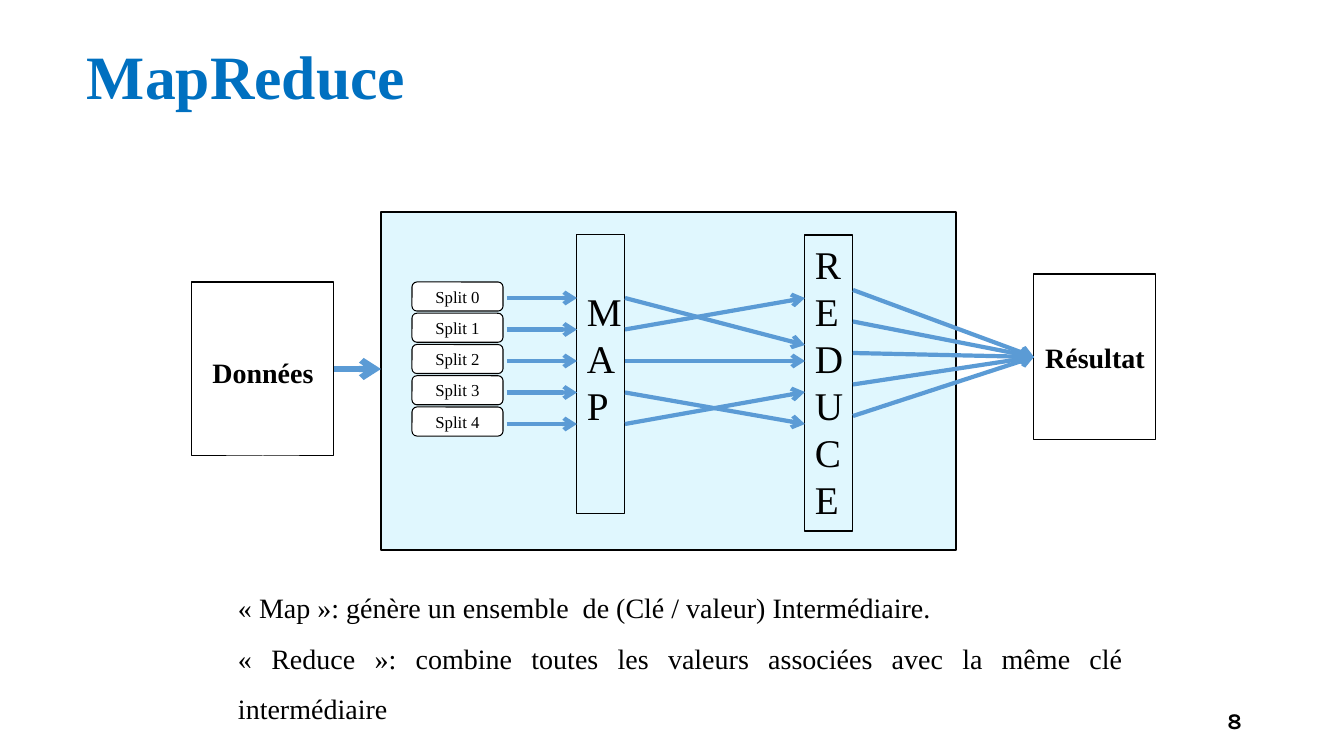
import pptx
import pptx.util
import pptx.dml.color
import pptx.enum.shapes
import pptx.enum.text
import pptx.oxml.ns
import lxml.etree

# Content; lengths in px
TITLE = "MapReduce"
NOTES = [
    "« Map »: génère un ensemble  de (Clé / valeur) Intermédiaire.",
    "« Reduce »: combine toutes les valeurs associées avec la même clé intermédiaire",
]
PAGE = "8"
SPLITS = [f"Split {i}" for i in range(5)]
# name: text, box, size, bold, align, anchor, top inset
BOXES = {
    "data": ("Données", (192, 282, 142, 174), 20, True, "CENTER", "MIDDLE", 12),
    "reduce": ("REDUCE", (805, 235, 48, 296), 28, False, "LEFT", "TOP", 5),
    "map": ("MAP", (577, 235, 48, 279), 28, False, "LEFT", "TOP", 52),
    "result": ("Résultat", (1034, 274, 122, 166), 20, True, "CENTER", "MIDDLE", 5),
}
PANEL = (381, 212, 575, 338)
CROSS = [345, 298, 361, 424, 392]  # height at which each map row meets reduce
SERIF = "Times New Roman"
BLACK, WHITE, BLUE = "000000", "FFFFFF", "5B9BD5"
SCALE = 914400 / 100.8

SHAPE = pptx.enum.shapes.MSO_SHAPE
ALIGN = pptx.enum.text.PP_ALIGN
ANCHOR = pptx.enum.text.MSO_ANCHOR
qn = pptx.oxml.ns.qn


def px(num):
    return pptx.util.Emu(round(num * SCALE))


def rgb(code):
    return pptx.dml.color.RGBColor.from_string(code)


def place(item, box):
    item.left, item.top, item.width, item.height = map(px, box)


def write(item, lines, size, color=BLACK, bold=False, face=SERIF,
          align="LEFT", anchor="MIDDLE", top=5, space=None):
    frame = item.text_frame
    frame.word_wrap = True
    frame.auto_size = pptx.enum.text.MSO_AUTO_SIZE.NONE
    frame.vertical_anchor = ANCHOR[anchor]
    frame.margin_left = frame.margin_right = px(10)
    frame.margin_top, frame.margin_bottom = px(top), px(5)
    for i, line in enumerate(lines):
        para = frame.add_paragraph() if i else frame.paragraphs[0]
        para.alignment = ALIGN[align]
        para.space_before = pptx.util.Pt(0)
        if space:
            para.line_spacing = space
        run = para.add_run()
        run.text = line
        font = run.font
        font.name, font.size, font.bold = face, pptx.util.Pt(size), bold
        font.color.rgb = rgb(color)


def draw(kind, box, fill=None, width=0.75):
    item = slide.shapes.add_shape(kind, *map(px, box))
    item.shadow.inherit = False
    if fill:
        item.fill.solid()
        item.fill.fore_color.rgb = rgb(fill)
    else:
        item.fill.background()
    item.line.color.rgb = rgb(BLACK)
    item.line.width = pptx.util.Pt(width)
    return item


def arrow(x1, y1, x2, y2, width=3):
    kind = pptx.enum.shapes.MSO_CONNECTOR.STRAIGHT
    line = slide.shapes.add_connector(kind, px(x1), px(y1), px(x2), px(y2))
    line.line.color.rgb = rgb(BLUE)
    line.line.width = pptx.util.Pt(width)
    props = line._element.spPr
    lxml.etree.SubElement(props.find(qn("a:ln")), qn("a:tailEnd"), type="arrow")
    lxml.etree.SubElement(props, qn("a:effectLst"))
    return line


def main():
    global slide
    deck = pptx.Presentation()
    deck.slide_width, deck.slide_height = px(1344), px(756)
    slide = deck.slides.add_slide(deck.slide_layouts[1])

    # Title and page number
    title, body = slide.placeholders
    place(title, (77, 31, 1159, 97))
    write(title, [TITLE], 44, "0070C0", True, space=0.9)
    page = slide.shapes.add_textbox(*map(px, (950, 701, 302, 40)))
    write(page, [PAGE], 16, bold=True, face="Karla", align="RIGHT")

    # Translucent panel
    panel = draw(SHAPE.RECTANGLE, PANEL, "B5EDFD", 1)
    tint = panel._element.spPr.find(qn("a:solidFill"))[0]
    lxml.etree.SubElement(tint, qn("a:alpha"), val="41000")

    # Stage boxes
    stage = {}
    for name, (text, box, size, bold, align, anchor, top) in BOXES.items():
        stage[name] = draw(SHAPE.RECTANGLE, box)
        write(stage[name], [text], size, bold=bold, align=align,
              anchor=anchor, top=top)

    # Splits and their arrows through map and reduce to the result
    left = {name: spec_box[1][0] for name, spec_box in BOXES.items()}
    right = {name: left[name] + BOXES[name][1][2] for name in BOXES}
    for i, text in enumerate(SPLITS):
        split = draw(SHAPE.FLOWCHART_ALTERNATE_PROCESS,
                     (412, 282 + 31.25 * i, 91, 29), WHITE)
        write(split, [text], 12, align="CENTER")
        row = 298 + 31.5 * i
        arrow(507, row, left["map"], row)
        arrow(right["map"], row, left["reduce"], CROSS[i])
        out = arrow(right["reduce"], row - 8, left["result"], 357)
        out.end_connect(stage["result"], 1)

    # Data into the panel
    feed = arrow(right["data"], 369, PANEL[0], 369, 4.5)
    feed.begin_connect(stage["data"], 3)

    # Explanations
    place(body, (228, 569, 905, 163))
    write(body, NOTES, 20, align="JUSTIFY", anchor="TOP", space=1.5)
    for para in body.text_frame.paragraphs:
        props = para._p.get_or_add_pPr()
        props.set("marL", "0")
        props.set("indent", "0")
        lxml.etree.SubElement(props, qn("a:buNone"))

    deck.save("out.pptx")


if __name__ == "__main__":
    main()
